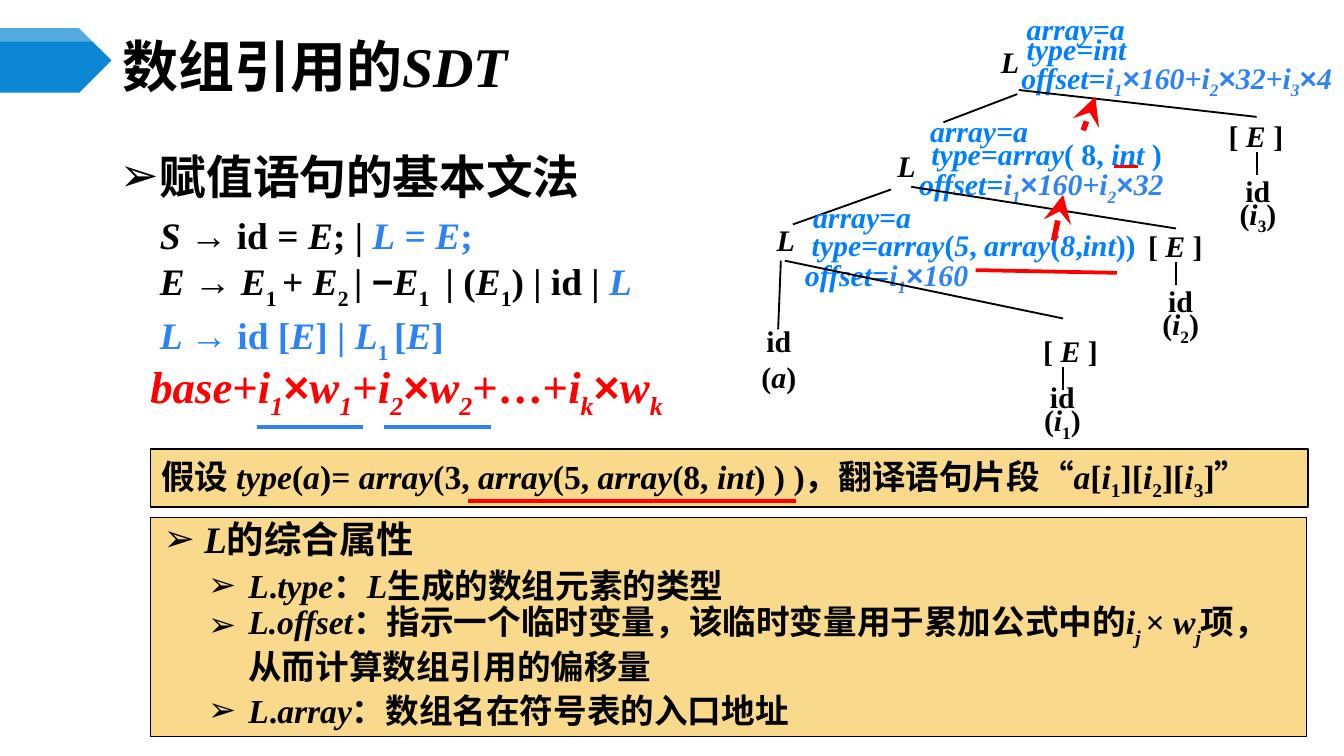
from lxml import etree
from pptx import Presentation, util as u
from pptx.dml.color import RGBColor
from pptx.enum import dml, shapes, text
from pptx.oxml.ns import qn

BLACK = RGBColor(0, 0, 0)
WHITE = RGBColor(255, 255, 255)
RED = RGBColor(255, 0, 0)
BLUE = RGBColor(0x2D, 0x83, 0xF4)
SKY = RGBColor(0x00, 0x80, 0xFF)
DEEP = RGBColor(0x0B, 0x87, 0xD6)
SAND = RGBColor(0xF9, 0xD9, 0x8C)
LATIN, HAN, SIGN = "Times New Roman", "Noto Sans CJK SC", "Arial"
COLS = 100
ROWS = COLS * 9 / 16
CELL = u.Inches(10) // COLS


def grid(*vals):
    return [round(v * CELL) for v in vals]


def run(para, words, size, color, slant, low, face):
    part = para.add_run()
    part.text = words
    font = part.font
    font.size, font.bold, font.italic = u.Pt(size), True, slant
    font.name = face
    font.color.rgb = color
    props = part._r.get_or_add_rPr()
    etree.SubElement(props, qn("a:ea")).set("typeface", HAN)
    if low:
        props.set("baseline", str(-1000 * low))


def write(para, marked, size, color=BLACK, drop=25, signs="→×−"):
    """Marks: * toggles italic, _ toggles subscript, ^ toggles blue."""
    on = {"*": False, "_": False, "^": False}
    held = ""

    def flush(words, face=LATIN):
        if words:
            run(para, words, size, BLUE if on["^"] else color,
                on["*"], drop if on["_"] else 0, face)

    for char in marked:
        if char in on or char in signs:
            flush(held)
            held = ""
        if char in on:
            on[char] = not on[char]
        elif char in signs:
            flush(char, SIGN)
        else:
            held += char
    flush(held)


def layout(para, left=0.0, hang=0.0, lead=None, gap=0.0, mark=None):
    props = para._p.get_or_add_pPr()
    props.set("marL", str(u.Inches(left)))
    props.set("indent", str(-u.Inches(hang)))
    if mark:
        tint = etree.SubElement(props, qn("a:buClr"))
        etree.SubElement(tint, qn("a:srgbClr")).set("val", str(BLACK))
        etree.SubElement(props, qn("a:buFont")).set("typeface", SIGN)
        etree.SubElement(props, qn("a:buChar")).set("char", mark)
    else:
        etree.SubElement(props, qn("a:buNone"))
    para.alignment = text.PP_ALIGN.LEFT
    para.space_before = u.Pt(gap)
    if lead:
        para.line_spacing = u.Pt(lead)


def frame(shape, anchor, wrap=True, pad=(0.08, 0.04)):
    body = shape.text_frame
    body.word_wrap = wrap
    body.auto_size = text.MSO_AUTO_SIZE.NONE
    body.vertical_anchor = anchor
    body.margin_left = body.margin_right = u.Inches(pad[0])
    body.margin_top = body.margin_bottom = u.Inches(pad[1])
    return body


def place(shape, box):
    shape.left, shape.top, shape.width, shape.height = grid(*box)


def lines(body):
    yield body.paragraphs[0]
    while True:
        yield body.add_paragraph()


def label(slide, box, rows, color=BLACK, lead=None, mid=True):
    body = frame(slide.shapes.add_textbox(*grid(*box)), text.MSO_ANCHOR.MIDDLE, False)
    for row, para in zip(rows, lines(body)):
        layout(para, lead=lead)
        if mid:
            para.alignment = text.PP_ALIGN.CENTER
        write(para, row, 16, color)


def stroke(slide, start, end, color=BLACK, width=1.0, arrow=False):
    line = slide.shapes.add_connector(shapes.MSO_CONNECTOR.STRAIGHT, *grid(*start, *end))
    line.line.color.rgb, line.line.width = color, u.Pt(width)
    if arrow:
        line.line.dash_style = dml.MSO_LINE.DASH
        tip = etree.SubElement(line.line._get_or_add_ln(), qn("a:tailEnd"))
        for key, val in (("type", "stealth"), ("w", "lg"), ("len", "lg")):
            tip.set(key, val)
    etree.SubElement(line._element.spPr, qn("a:effectLst"))


def panel(slide, box, anchor, pad, width):
    rect = slide.shapes.add_shape(shapes.MSO_SHAPE.RECTANGLE, *grid(*box))
    rect.shadow.inherit = False
    rect.fill.solid()
    rect.fill.fore_color.rgb = SAND
    rect.line.color.rgb, rect.line.width = BLACK, u.Pt(width)
    return frame(rect, anchor, pad=pad)


def badge(slide, box):
    x, y, w, h = box
    for high, neck, color in ((h, 0.71 * w, DEEP), (0.21 * h, 0.94 * w, WHITE)):
        pts = [(neck, 0), (w, high / 2), (neck, high), (0, high)]
        path = slide.shapes.build_freeform(*grid(x, y))
        path.add_line_segments([grid(x + a, y + b) for a, b in pts])
        form = path.convert_to_shape()
        form.shadow.inherit = False
        form.fill.solid()
        form.fill.fore_color.rgb = color
        form.line.fill.background()
        if color == WHITE:
            tint = form._element.spPr.find(qn("a:solidFill"))[0]
            etree.SubElement(tint, qn("a:alpha")).set("val", "30000")


def title(slide, box):
    head = slide.shapes.title
    place(head, box)
    para = frame(head, text.MSO_ANCHOR.MIDDLE).paragraphs[0]
    layout(para)
    write(para, "数组引用的*SDT*", 30)


def grammar(slide, box):
    body = slide.placeholders[1]
    place(body, box)
    rows = ("赋值语句的基本文法",
            "*S *→ id = *E*; | ^*L* = *E*;",
            "*E *→ *E*_1 _+ *E*_2 _| −*E*_1   _| (*E*_1_) | id | ^*L*",
            "^*L *→ id [*E*] | *L*_1 _[*E*]")
    paras = lines(frame(body, text.MSO_ANCHOR.TOP))
    for num, (row, para) in enumerate(zip(rows, paras)):
        if num:
            layout(para, 0.3, 0, 25, 3.7)
        else:
            layout(para, 0.3, 0.3, 30, 0, "➢")
        write(para, row, 20 if num else 25, drop=30)


def formula(slide, box):
    x, y, w, h = box
    area = slide.shapes.add_textbox(*grid(*box))
    para = frame(area, text.MSO_ANCHOR.TOP, pad=(0.1, 0.05)).paragraphs[0]
    layout(para, lead=25)
    write(para, "*base*+*i_1_*×*w_1_*+*i_2_*×*w_2_*+…+*i_k_*×*w_k_*", 24, RED)
    for left in (8.9, 18.4):
        stroke(slide, (x + left, y + 4.5), (x + left + 7.9, y + 4.5), BLUE, 2)


def premise(slide, box):
    x, y, w, h = box
    para = panel(slide, box, text.MSO_ANCHOR.BOTTOM, (0.08, 0.04), 1).paragraphs[0]
    layout(para, lead=25)
    write(para, "假设 *type*(*a*)*= array*(3, *array*(5, *array*(8, *int*) ) )，"
          "翻译语句片段“*a*[*i*_1_][*i*_2_][*i*_3_]”", 18)
    stroke(slide, (x + 23.6, y + 3.9), (x + 48, y + 3.9), RED, 2)


def summary(slide, box):
    rows = ("*L*的综合属性",
            "*L*.*type*：*L*生成的数组元素的类型",
            "*L.offset*：指示一个临时变量，该临时变量用于累加公式中的"
            "*i_j _*× *w_j_*项，从而计算数组引用的偏移量",
            "*L*.*array*：数组名在符号表的入口地址")
    paras = lines(panel(slide, box, text.MSO_ANCHOR.TOP, (0.1, 0.05), 0.75))
    for num, (row, para) in enumerate(zip(rows, paras)):
        layout(para, 0.63 if num else 0.3, 0.3, 20, 3.4 if num else 0, "➢")
        write(para, row, 18 if num else 20, drop=30, signs="")


def node(slide, spot, attrs, edges, leaf, index):
    x, y = spot
    label(slide, (x, y, 3.5, 2.4), ["*L*"])
    for left, top, words in attrs:
        label(slide, (x + left, y + top, 24, 3), [words], SKY, mid=False)
    for a, b, c, d in edges:
        stroke(slide, (x + a, y + b), (x + c, y + d))
    left, top, stem, mid, deep = leaf
    label(slide, (x + left, y + top, 3.5, 2.4), ["[* E *]"])
    stroke(slide, (x + stem, y + top + 2.4), (x + stem, y + top + 4.1))
    label(slide, (x + mid - 3, y + deep - 2.6, 6, 5.2), ["id", f"(*i*_{index}_)"], lead=15)


def tree(slide, box):
    x, y, w, h = box
    base = "*offset=^i_1_*×*160"
    node(slide, (x + 17.2, y + 2.8),
         ((2.2, -2.8, "*array=a*"), (2.2, -1.3, "*type=int*"),
          (1.8, 1.05, base + "+i_2_*×*32+i_3_*×*4*")),
         ((2.3, 3.6, -3.2, 5.7), (2.4, 3.3, 20.1, 5.3)), (18.3, 5.5, 20.1, 20.2, 12.1), 3)
    node(slide, (x + 9.5, y + 10.5),
         ((2.7, -2.9, "*array=a*"), (2.8, -1.2, "*type=array*( 8,* int *)"),
          (1.9, 1.25, base + "+i_2_*×*32*")),
         ((0.6, 3, -6.7, 5.6), (2.1, 2.8, 21.8, 5.9)), (20, 6, 21.8, 22.15, 12.6), 2)
    node(slide, (x + 0.5, y + 16),
         ((3, -2, "*array=a*"), (2.9, 0.1, "*type=array*(*5*,* array*(*8*,*int*))"),
          (2.4, 2.5, base + "*")),
         ((1.4, 2.8, 1.2, 7.9), (1.7, 2.8, 22.4, 7.1)), (21.2, 8.3, 22.4, 22.35, 14.25), 1)
    label(slide, (x, y + 23.2, 3.5, 5.8), ["id", "(*a*)"])
    stroke(slide, (x + 16.4, y + 19.5), (x + 26.9, y + 19.7), RED, 2)
    stroke(slide, (x + 26.7, y + 11.8), (x + 28.5, y + 11.8), RED, 2)
    stroke(slide, (x + 22.2, y + 17.3), (x + 22.9, y + 13.9), RED, 3, True)
    stroke(slide, (x + 24.4, y + 9.1), (x + 25.3, y + 6.6), RED, 3, True)


def main():
    deck = Presentation()
    deck.slide_width, deck.slide_height = grid(COLS, ROWS)
    slide = deck.slides.add_slide(deck.slide_layouts[1])
    badge(slide, (0, 2.1, 8.3, 4.8))
    title(slide, (8.3, 2.9, 86.7, 3.9))
    grammar(slide, (8.1, 10.6, 64.8, 18.3))
    formula(slide, (10.2, 27.3, 45.4, 4.5))
    summary(slide, (11.2, 38.5, 86, 16.3))
    premise(slide, (11.2, 33.4, 86.1, 4.3))
    tree(slide, (56.2, 0.6, 43.8, 32.2))
    deck.save("out.pptx")


if __name__ == "__main__":
    main()
